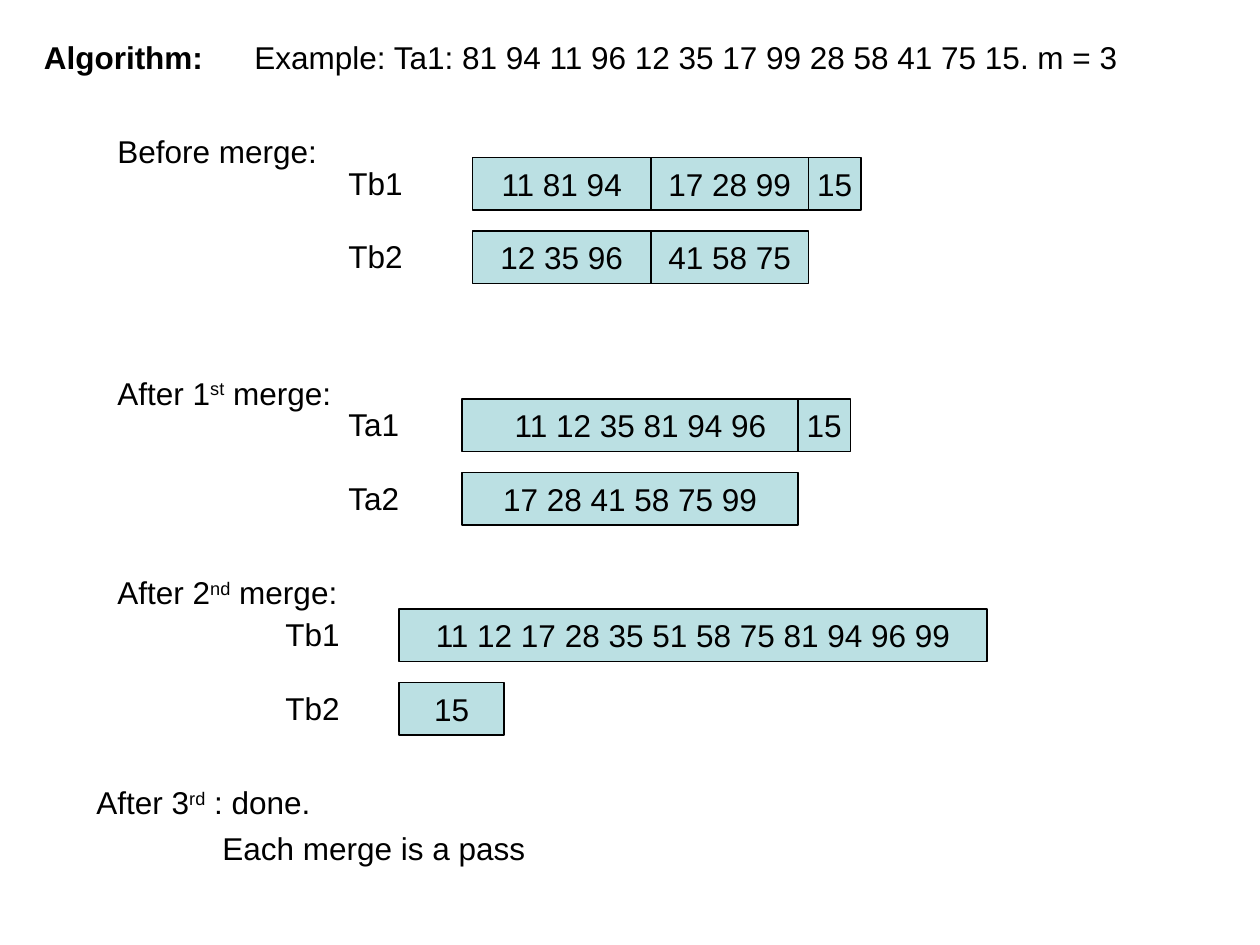
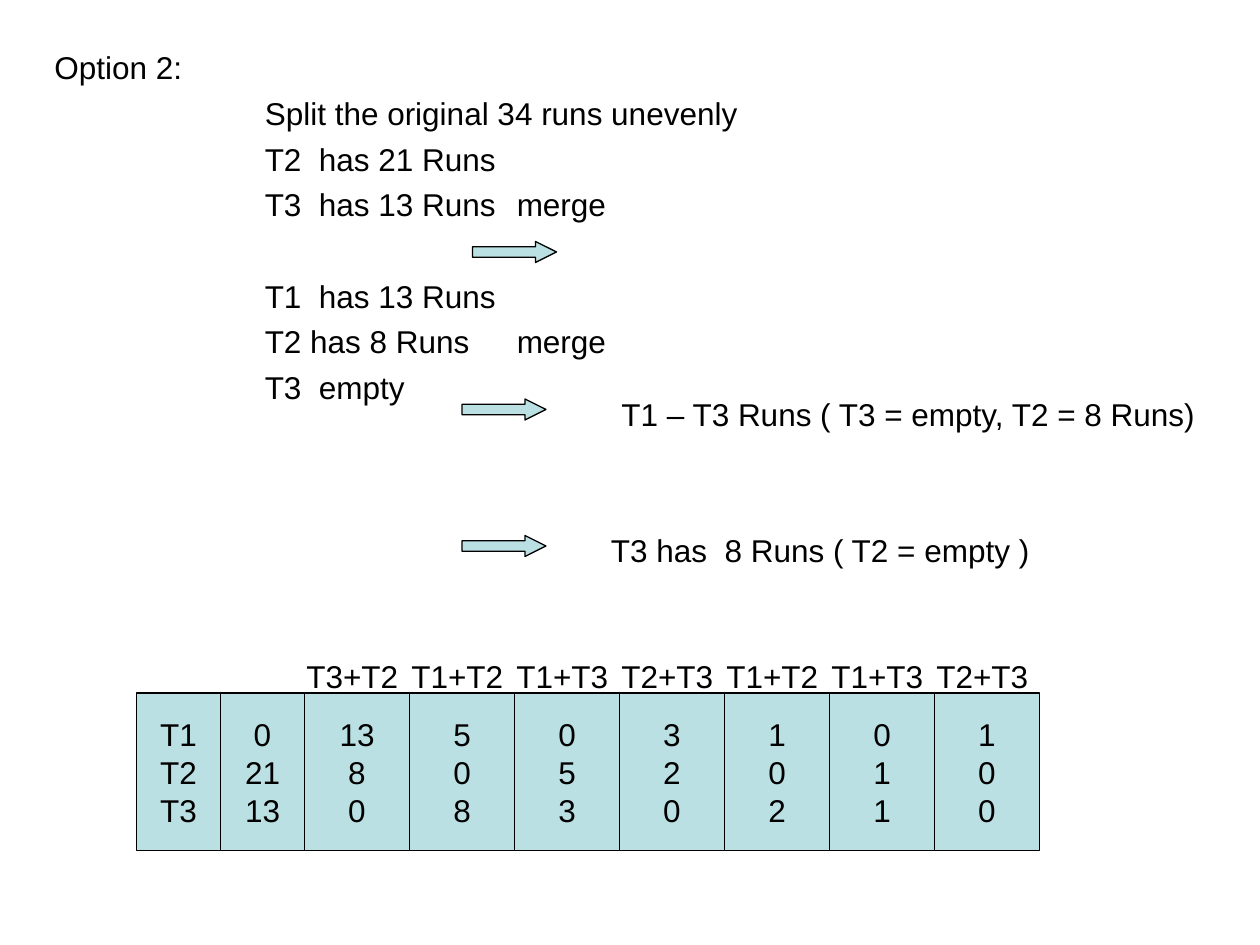
from dataclasses import dataclass

from lxml.etree import SubElement
from pptx import Presentation
from pptx.dml.color import RGBColor
from pptx.enum.shapes import MSO_SHAPE
from pptx.enum.text import MSO_ANCHOR, PP_ALIGN
from pptx.oxml.ns import qn
from pptx.util import Inches, Pt

COLUMNS, ROWS = 120, 90
CELL = Inches(10) // COLUMNS
ROW_HEIGHT = 5
LABEL_HEIGHT = 4.8


@dataclass(frozen=True)
class Theme:
    font: str = "Arial"
    size: float = 18
    ink: RGBColor = RGBColor(0x00, 0x00, 0x00)
    fill: RGBColor = RGBColor(0xBB, 0xE0, 0xE3)
    line_width: float = 0.75
    line_gap: float = 4.5
    label_gap: float = 11.2
    section_gap: float = 30.7  # a line's gap plus one whole line


THEME = Theme()


@dataclass
class Line:
    """One paragraph: (text, style) runs, with indents and tab stop in inches."""
    runs: list
    before: float = THEME.line_gap
    margin: float = 0
    hanging: float = 0
    tab: float = 0
    align: PP_ALIGN = PP_ALIGN.LEFT


@dataclass
class Stage:
    """Tapes between two passes; each tape is (name, [(values, width), ...])."""
    heading: list
    heading_width: float
    strip_left: float
    label_left: float
    first_row: float
    tapes: list


def plain(text):
    return [(text, "")]


def ordinal(before, suffix, after):
    return [(before, ""), (suffix, "super"), (after, "")]


def place(left, top, width, height):
    """Turn grid cells into slide lengths."""
    return [round(cells * CELL) for cells in (left, top, width, height)]


def write(frame, lines):
    for index, line in enumerate(lines):
        paragraph = frame.paragraphs[0] if index == 0 else frame.add_paragraph()
        paragraph.alignment = line.align
        paragraph.space_before = Pt(line.before)
        properties = paragraph._p.get_or_add_pPr()
        properties.set("marL", str(Inches(line.margin)))
        properties.set("indent", str(-Inches(line.hanging)))
        if line.tab:
            tabs = SubElement(properties, qn("a:tabLst"))
            SubElement(tabs, qn("a:tab"), pos=str(Inches(line.tab)), algn="l")
        for text, style in line.runs:
            run = paragraph.add_run()
            run.text = text
            run.font.name = THEME.font
            run.font.size = Pt(THEME.size)
            run.font.color.rgb = THEME.ink
            run.font.bold = style == "bold"
            if style == "super":
                run._r.get_or_add_rPr().set("baseline", "30000")


def add_text(slide, box, lines):
    frame = slide.shapes.add_textbox(*place(*box)).text_frame
    frame.word_wrap = True
    write(frame, lines)


def add_label(slide, box, text):
    add_text(slide, box, [Line(plain(text), THEME.label_gap)])


def add_filled(slide, kind, box):
    shape = slide.shapes.add_shape(kind, *place(*box))
    shape.shadow.inherit = False
    shape.fill.solid()
    shape.fill.fore_color.rgb = THEME.fill
    shape.line.color.rgb = THEME.ink
    shape.line.width = Pt(THEME.line_width)
    return shape


def add_block(slide, box, values):
    """Add a filled rectangle with its values stacked in the middle."""
    frame = add_filled(slide, MSO_SHAPE.RECTANGLE, box).text_frame
    frame.word_wrap = False
    frame.vertical_anchor = MSO_ANCHOR.MIDDLE
    write(frame, [Line(plain(value), 0, align=PP_ALIGN.CENTER) for value in values])


def add_arrow(slide, left, top):
    arrow = add_filled(slide, MSO_SHAPE.RIGHT_ARROW, (left, top, 8, 2))
    arrow.adjustments[0], arrow.adjustments[1] = 0.5, 1.0


def add_stage(slide, left, top, stage):
    add_text(slide, (left, top, stage.heading_width, LABEL_HEIGHT), [Line(stage.heading)])
    row = top + stage.first_row
    for name, blocks in stage.tapes:
        add_label(slide, (left + stage.label_left, row, 11, LABEL_HEIGHT), name)
        block_left = left + stage.strip_left
        for values, width, step in blocks:
            add_block(slide, (block_left, row, width, ROW_HEIGHT), [values])
            block_left += step
        row += ROW_HEIGHT + 2


def add_run_grid(slide, left, top, tapes, passes):
    """Add one block per pass, with the merged tapes named above it."""
    column_left = left
    for merged, counts in [("", tapes)] + passes:
        width = 10 if merged else 8
        add_block(slide, (column_left, top, width, 15), counts)
        if merged:
            add_label(slide, (column_left - 1, top - 4, 15, LABEL_HEIGHT), merged)
        column_left += width


def build_merge_slide(slide):
    example = "Example: Ta1: 81 94 11 96 12 35 17 99 28 58 41 75 15. m = 3"
    add_text(slide, (3, 3, 117, 10), [
        Line([("Algorithm: \t", "bold"), (example, "")], margin=0.67, hanging=0.67, tab=1)])

    # Each block is (values, width, distance to the next block).
    stages = [
        (12, Stage(plain("Before merge:"), 23, 35, 22, 3, [
            ("Tb1", [("11 81 94", 17, 17), ("17 28 99", 15, 15), ("15", 5, 5)]),
            ("Tb2", [("12 35 96", 17, 17), ("41 58 75", 15, 15)])])),
        (35, Stage(ordinal("After 1", "st", " merge:"), 23, 34, 22, 3, [
            ("Ta1", [("11 12 35 81 94 96", 34, 32), ("15", 5, 5)]),
            ("Ta2", [("17 28 41 58 75 99", 32, 32)])])),
        (54, Stage(ordinal("After 2", "nd", " merge:"), 25, 28, 16, 4, [
            ("Tb1", [("11 12 17 28 35 51 58 75 81 94 96 99", 56, 56)]),
            ("Tb2", [("15", 10, 10)])])),
    ]
    for top, stage in stages:
        add_stage(slide, 10, top, stage)

    add_text(slide, (8, 74, 80, 9.2), [
        Line(ordinal("After 3", "rd", " : done.")),
        Line(plain("Each merge is a pass"), margin=1)])


def build_split_slide(slide):
    steps = [
        ("Split the original 34 runs unevenly", 0),
        ("T2  has 21 Runs", 0),
        ("T3  has 13 Runs\tmerge", 2.35),
        ("T1  has 13 Runs", 0),
        ("T2 has 8 Runs\tmerge", 2.53),
        ("T3  empty", 0),
    ]
    lines = [Line(plain("Option 2:"))]
    lines += [Line(plain(text), margin=1.67, tab=tab) for text, tab in steps]
    lines[4].before = THEME.section_gap
    add_text(slide, (4, 4, 113, 53), lines)

    for left, top in [(45, 23), (44, 38), (44, 51)]:
        add_arrow(slide, left, top)
    add_label(slide, (58, 37, 58, LABEL_HEIGHT), "T1 – T3 Runs ( T3 = empty, T2 = 8 Runs)")
    add_label(slide, (57, 50, 58, LABEL_HEIGHT), "T3 has  8 Runs ( T2 = empty )")

    add_block(slide, (13, 66, 8, 15), ["T1", "T2", "T3"])
    add_run_grid(slide, 21, 66, ["0", "21", "13"], [
        ("T3+T2", ["13", "8", "0"]),
        ("T1+T2", ["5", "0", "8"]),
        ("T1+T3", ["0", "5", "3"]),
        ("T2+T3", ["3", "2", "0"]),
        ("T1+T2", ["1", "0", "2"]),
        ("T1+T3", ["0", "1", "1"]),
        ("T2+T3", ["1", "0", "0"]),
    ])


def main():
    presentation = Presentation()
    presentation.slide_width = COLUMNS * CELL
    presentation.slide_height = ROWS * CELL
    for build in (build_merge_slide, build_split_slide):
        build(presentation.slides.add_slide(presentation.slide_layouts[6]))
    presentation.save("out.pptx")


if __name__ == "__main__":
    main()
